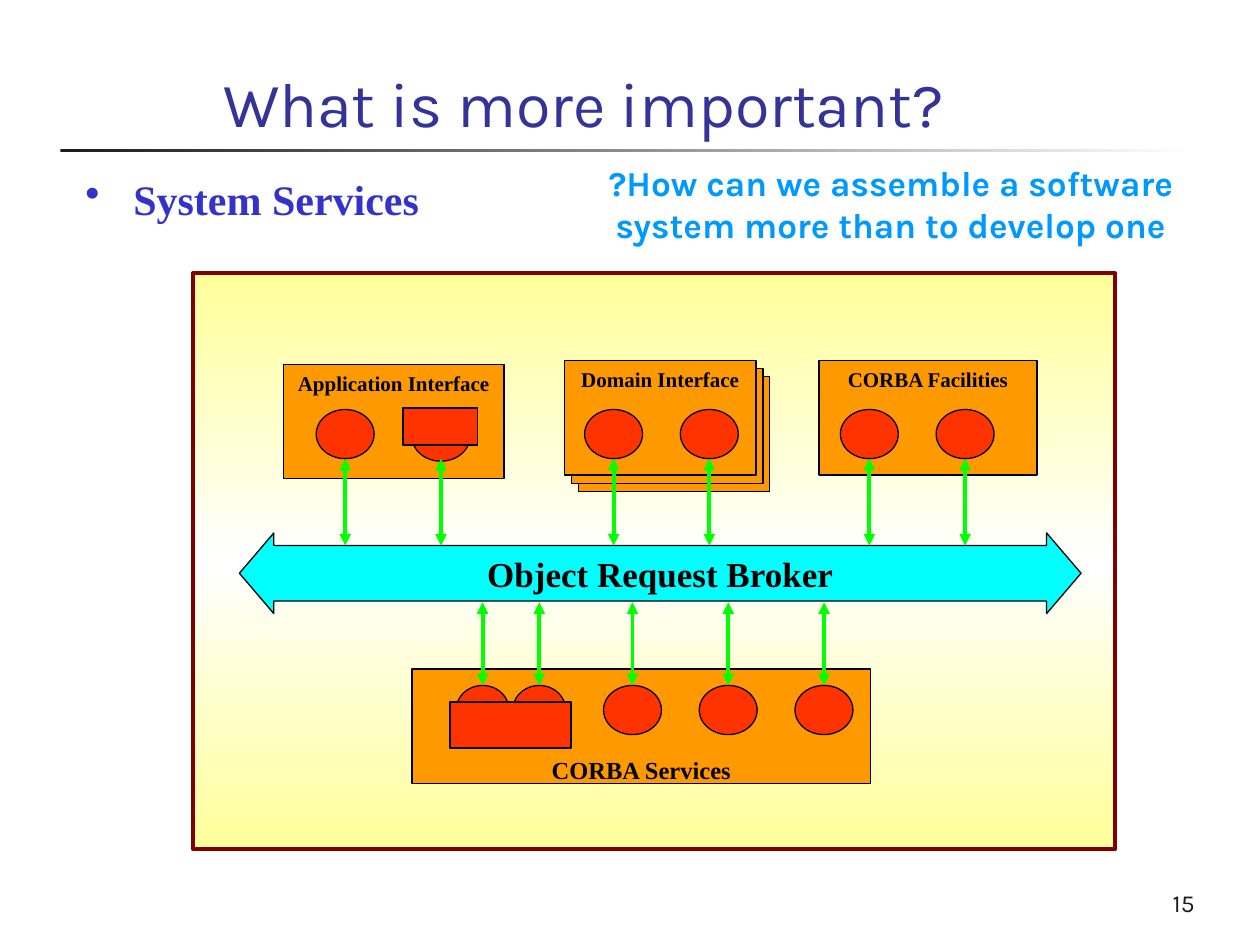
from dataclasses import dataclass
from typing import Optional

from lxml.etree import SubElement
from pptx import Presentation
from pptx.dml.color import RGBColor
from pptx.enum.shapes import MSO_CONNECTOR, MSO_SHAPE
from pptx.enum.text import MSO_ANCHOR, PP_ALIGN
from pptx.oxml.ns import qn
from pptx.util import Inches, Pt

# The slide is a grid of 10 columns by 7.5 rows
SLIDE_WIDTH, SLIDE_HEIGHT = Inches(10), Inches(7.5)
COLUMN, ROW = SLIDE_WIDTH / 10, SLIDE_HEIGHT / 7.5

SANS, SERIF = "Karla", "Times New Roman"
BLACK = RGBColor(0x00, 0x00, 0x00)
WHITE = RGBColor(0xFF, 0xFF, 0xFF)
CHARCOAL = RGBColor(0x1C, 0x1C, 0x1C)
INDIGO = RGBColor(0x33, 0x33, 0x99)
BLUE = RGBColor(0x33, 0x33, 0xCC)
SKY = RGBColor(0x00, 0x99, 0xFF)
MAROON = RGBColor(0x80, 0x00, 0x00)
YELLOW = RGBColor(0xFF, 0xFF, 0x99)
ORANGE = RGBColor(0xFF, 0x99, 0x00)
RED = RGBColor(0xFF, 0x33, 0x00)
CYAN = RGBColor(0x00, 0xFF, 0xFF)
GREEN = RGBColor(0x00, 0xFF, 0x00)

THIN, MEDIUM, THICK = 0.74, 0.99, 2.24
OBJECT_WIDTH, OBJECT_HEIGHT = 0.46, 0.39
PANEL_HEIGHT = 0.91


@dataclass(frozen=True)
class Box:
    left: float
    top: float
    width: float
    height: float

    def emu(self) -> tuple[int, int, int, int]:
        return (round(self.left * COLUMN), round(self.top * ROW),
                round(self.width * COLUMN), round(self.height * ROW))


@dataclass(frozen=True)
class Panel:
    label: str
    box: Box
    size: int = 12
    label_top: float = 0.05
    copies: int = 0


def write_text(shape, text: str, *, size: float, color: RGBColor, font: str = SERIF,
               bold: bool = False, align=PP_ALIGN.LEFT, anchor=MSO_ANCHOR.TOP,
               top: float = 0.05):
    frame = shape.text_frame
    frame.word_wrap = True
    frame.vertical_anchor = anchor
    frame.margin_left = frame.margin_right = Inches(0.1)
    frame.margin_top, frame.margin_bottom = Inches(top), Inches(0.05)
    paragraph = frame.paragraphs[0]
    paragraph.alignment = align
    run = paragraph.add_run()
    run.text = text
    run.font.name, run.font.size, run.font.bold = font, Pt(size), bold
    run.font.color.rgb = color
    return paragraph


def add_text(box: Box, text: str, **text_format):
    return write_text(slide.shapes.add_textbox(*box.emu()), text, **text_format)


def add_figure(kind: MSO_SHAPE, box: Box, fill: Optional[RGBColor] = None,
               line: Optional[RGBColor] = BLACK, weight: float = THIN):
    shape = slide.shapes.add_shape(kind, *box.emu())
    shape.shadow.inherit = False
    if fill is not None:
        shape.fill.solid()
        shape.fill.fore_color.rgb = fill
    if line is None:
        shape.line.fill.background()
    else:
        shape.line.color.rgb = line
        shape.line.width = Pt(weight)
    return shape


def fill_gradient(shape, colors: list[RGBColor], angle: int) -> None:
    shape.fill.gradient()
    shape.fill.gradient_angle = angle
    stops = shape._element.spPr.find(".//" + qn("a:gsLst"))
    stops.clear()
    for index, color in enumerate(colors):
        position = 100000 * index // (len(colors) - 1)
        stop = SubElement(stops, qn("a:gs"), pos=str(position))
        SubElement(stop, qn("a:srgbClr"), val=str(color))


def add_panel(panel: Panel) -> None:
    for step in range(panel.copies, -1, -1):
        box = Box(panel.box.left + 0.055 * step, panel.box.top + 0.065 * step,
                  panel.box.width, panel.box.height)
        shape = add_figure(MSO_SHAPE.RECTANGLE, box, ORANGE)
    write_text(shape, panel.label, size=panel.size, color=BLACK, bold=True,
               align=PP_ALIGN.CENTER, top=panel.label_top)


def add_object(center: float, top: float, width: float = OBJECT_WIDTH) -> None:
    box = Box(center - width / 2, top, width, OBJECT_HEIGHT)
    add_figure(MSO_SHAPE.OVAL, box, RED)


def add_link(x: float, top: float, bottom: float) -> None:
    left = round(x * COLUMN)
    link = slide.shapes.add_connector(MSO_CONNECTOR.STRAIGHT, left, round(top * ROW),
                                      left, round(bottom * ROW))
    link.line.color.rgb = GREEN
    link.line.width = Pt(THICK)
    line = link.line._get_or_add_ln()
    for end in ("a:headEnd", "a:tailEnd"):
        SubElement(line, qn(end), type="triangle")
    SubElement(link._element.spPr, qn("a:effectLst"))


presentation = Presentation()
presentation.slide_width, presentation.slide_height = SLIDE_WIDTH, SLIDE_HEIGHT
slide = presentation.slides.add_slide(presentation.slide_layouts[5])

# Title and the fading rule below it
title = slide.shapes.title
title.left, title.top, title.width, title.height = Box(1.67, 0.17, 7.86, 0.99).emu()
write_text(title, "What is more important?", size=36, color=INDIGO, font=SANS,
           anchor=MSO_ANCHOR.BOTTOM)
rule = add_figure(MSO_SHAPE.RECTANGLE, Box(0.48, 1.18, 9, 0.03), line=None)
fill_gradient(rule, [CHARCOAL, WHITE], 0)

# Bulleted heading and question
heading = add_text(Box(0.58, 1.33, 3.9, 0.68), "System Services", size=24,
                   color=BLUE, bold=True)
heading.space_before = Pt(6)
properties = heading._p.get_or_add_pPr()
properties.set("marL", str(Inches(0.38)))
properties.set("indent", str(-Inches(0.38)))
bullet_color = SubElement(properties, qn("a:buClr"))
SubElement(bullet_color, qn("a:srgbClr"), val=str(BLUE))
SubElement(properties, qn("a:buChar"), char="•")
add_text(Box(4.53, 1.23, 5.08, 0.77),
         "?How can we assemble a software system more than to develop one",
         size=20, color=SKY, font=SANS, bold=True, align=PP_ALIGN.CENTER)

# Diagram background
background = add_figure(MSO_SHAPE.RECTANGLE, Box(1.53, 2.17, 7.32, 4.57),
                        line=MAROON, weight=THICK)
fill_gradient(background, [YELLOW, WHITE, YELLOW], 90)

# Panels
for panel in (
    Panel("CORBA Facilities", Box(6.5, 2.86, 1.73, PANEL_HEIGHT)),
    Panel("Domain Interface", Box(4.48, 2.86, 1.52, PANEL_HEIGHT), copies=2),
    Panel("Application Interface", Box(2.25, 2.89, 1.75, PANEL_HEIGHT)),
    Panel("CORBA Services", Box(3.27, 5.31, 3.64, PANEL_HEIGHT), 14, 0.68),
):
    add_panel(panel)

# Broker
broker = add_figure(MSO_SHAPE.LEFT_RIGHT_ARROW, Box(1.9, 4.23, 6.68, 0.64), CYAN)
broker.adjustments[0], broker.adjustments[1] = 0.689, 0.427
write_text(broker, "Object Request Broker", size=20, color=BLACK, bold=True,
           align=PP_ALIGN.CENTER, anchor=MSO_ANCHOR.MIDDLE)

# Objects and their links to the broker
for first_center in (2.74, 4.87, 6.9):
    for center in (first_center, first_center + 0.76):
        add_object(center, 3.27 if center == 3.5 else 3.25)
        add_link(center, 3.64, 4.33)
for center, width in ((3.83, 0.42), (4.28, 0.42), (5.02, OBJECT_WIDTH),
                      (5.78, OBJECT_WIDTH), (6.54, OBJECT_WIDTH)):
    add_object(center, 5.44, width)
    add_link(center, 4.78, 5.44)

# Plates in front of the objects
for plate in (Box(3.2, 3.24, 0.59, 0.29), Box(3.57, 5.57, 0.96, 0.37)):
    add_figure(MSO_SHAPE.RECTANGLE, plate, RED, weight=MEDIUM)

# Slide number
add_text(Box(7.5, 6.83, 2.08, 0.5), "15", size=14, color=CHARCOAL, font=SANS,
         align=PP_ALIGN.RIGHT, anchor=MSO_ANCHOR.BOTTOM)

presentation.save("out.pptx")
